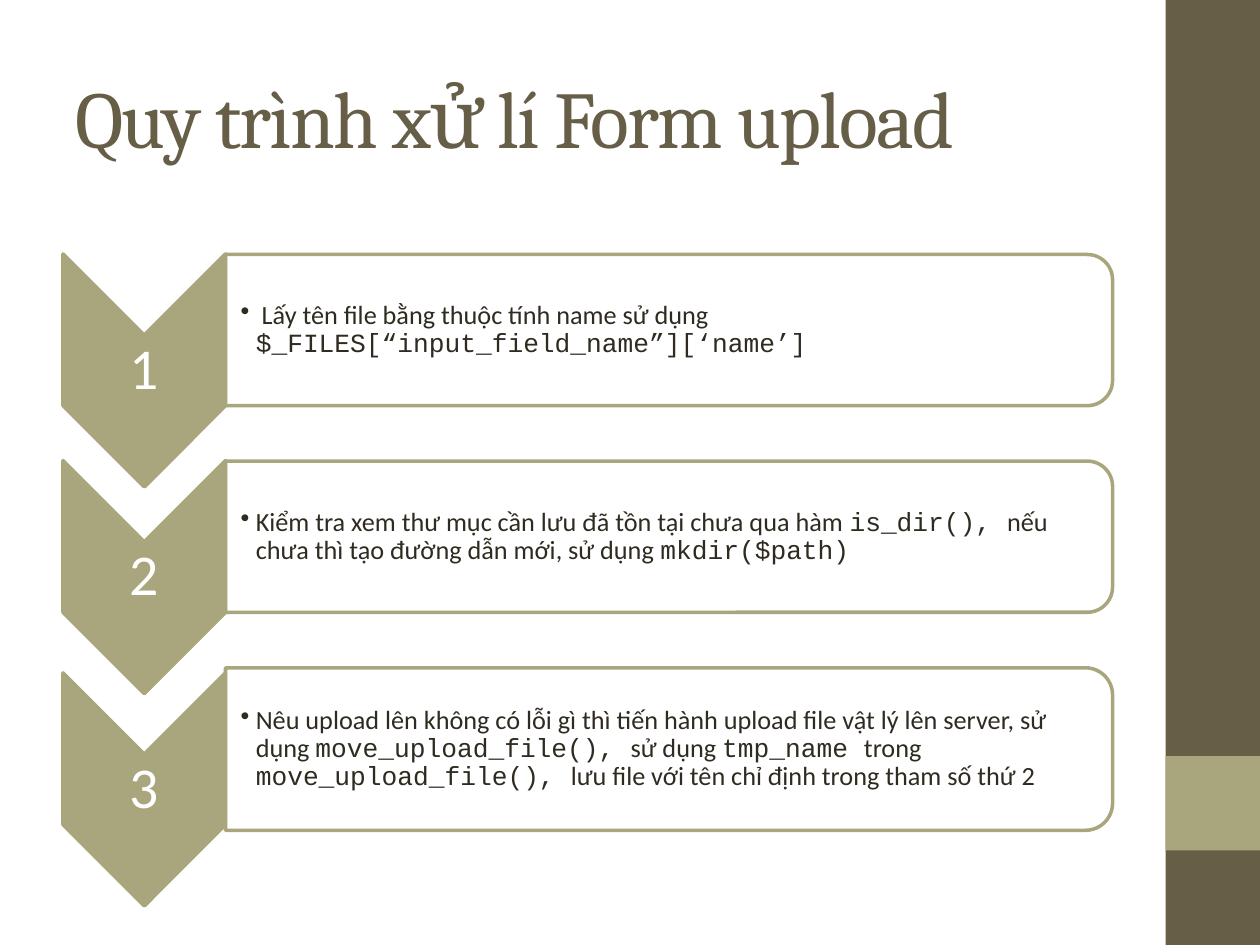
from dataclasses import dataclass

from lxml.etree import SubElement
from pptx import Presentation
from pptx.dml.color import RGBColor
from pptx.enum.shapes import MSO_SHAPE
from pptx.enum.text import MSO_ANCHOR, PP_ALIGN
from pptx.oxml.ns import qn
from pptx.util import Inches, Pt

BROWN = RGBColor(0x67, 0x5E, 0x47)
OLIVE = RGBColor(0xA9, 0xA5, 0x7C)
INK = RGBColor(0x2F, 0x2B, 0x20)
WHITE = RGBColor(0xFF, 0xFF, 0xFF)
HEADING, BODY, CODE = "Cambria", "Calibri", "Courier New"

CHEVRON_LEFT, CHEVRON_WIDTH, CHEVRON_HEIGHT = 0.5, 1.29, 1.85
CHEVRON_DROP = 0.32
BOX_LEFT, BOX_WIDTH = 1.79, 7.04


@dataclass(frozen=True)
class Step:
    number: str
    top: float
    height: float
    runs: tuple[tuple[str, str], ...]


STEPS = (
    Step("1", 2.02, 1.2, (
        (" Lấy tên file bằng thuộc tính name sử dụng ", BODY),
        ("$_FILES[“input_field_name”][‘name’]", CODE),
    )),
    Step("2", 3.66, 1.2, (
        ("Kiểm tra xem thư mục cần lưu đã tồn tại chưa qua hàm ", BODY),
        ("is_dir(), ", CODE),
        ("nếu chưa thì tạo đường dẫn mới, sử dụng ", BODY),
        ("mkdir($path)", CODE),
    )),
    Step("3", 5.3, 1.29, (
        ("Nêu upload lên không có lỗi gì thì tiến hành upload file vật lý "
         "lên server, sử dụng ", BODY),
        ("move_upload_file(), ", CODE),
        ("sử dụng ", BODY),
        ("tmp_name ", CODE),
        ("trong ", BODY),
        ("move_upload_file(), ", CODE),
        ("lưu file với tên chỉ định trong tham số thứ 2", BODY),
    )),
)


def add_shape(s, kind: MSO_SHAPE, left: float, top: float, width: float,
              height: float, fill: RGBColor, line: RGBColor | None = None):
    sp = s.shapes.add_shape(kind, Inches(left), Inches(top),
                            Inches(width), Inches(height))
    sp.shadow.inherit = False
    sp.fill.solid()
    sp.fill.fore_color.rgb = fill
    if line is None:
        sp.line.fill.background()
    else:
        sp.line.color.rgb = line
        sp.line.width = Pt(2)
    return sp


def add_turned(s, kind: MSO_SHAPE, center_x: float, center_y: float,
               width: float, height: float, fill: RGBColor):
    sp = add_shape(s, kind, center_x - height / 2, center_y - width / 2,
                   height, width, fill, OLIVE)
    sp.rotation = 90
    return sp


def add_text(s, left: float, top: float, width: float, height: float,
             insets: tuple[float, float, float, float]):
    tf = s.shapes.add_textbox(Inches(left), Inches(top),
                              Inches(width), Inches(height)).text_frame
    tf.word_wrap = True
    tf.vertical_anchor = MSO_ANCHOR.MIDDLE
    (tf.margin_left, tf.margin_top,
     tf.margin_right, tf.margin_bottom) = map(Inches, insets)
    return tf.paragraphs[0]


def add_run(p, text: str, font: str, size: float, color: RGBColor):
    r = p.add_run()
    r.text = text
    r.font.name = font
    r.font.size = Pt(size)
    r.font.color.rgb = color
    return r


def set_bullet(p, indent: float) -> None:
    pPr = p._p.get_or_add_pPr()
    pPr.set("marL", str(Inches(indent)))
    pPr.set("indent", str(-Inches(indent)))
    SubElement(pPr, qn("a:buChar"), char="•")


def set_opacity(sp, percent: int) -> None:
    color = sp.fill._xPr.find(qn("a:solidFill"))[0]
    SubElement(color, qn("a:alpha"), val=str(percent * 1000))


def draw_title(s, text: str) -> None:
    p = add_text(s, 0.5, 0.3, 8.33, 1.25, (0.1, 0.05, 0.1, 0.05))
    r = add_run(p, text, HEADING, 46, BROWN)
    r.font._element.set("spc", "-100")


def draw_step(s, step: Step) -> None:
    box_y = step.top + step.height / 2
    chevron_x = CHEVRON_LEFT + CHEVRON_WIDTH / 2
    chevron_y = box_y + CHEVRON_DROP

    add_turned(s, MSO_SHAPE.CHEVRON, chevron_x, chevron_y,
               CHEVRON_WIDTH, CHEVRON_HEIGHT, OLIVE)
    p = add_text(s, CHEVRON_LEFT, chevron_y - 0.28, CHEVRON_WIDTH, 0.56,
                 (0.02, 0.02, 0.02, 0.02))
    p.alignment = PP_ALIGN.CENTER
    p.line_spacing = 0.9
    add_run(p, step.number, BODY, 33, WHITE)

    box = add_turned(s, MSO_SHAPE.ROUND_2_SAME_RECTANGLE,
                     BOX_LEFT + BOX_WIDTH / 2, box_y,
                     BOX_WIDTH, step.height, WHITE)
    set_opacity(box, 90)
    p = add_text(s, BOX_LEFT, step.top + 0.06, BOX_WIDTH - 0.06,
                 step.height - 0.12, (0.12, 0.01, 0.01, 0.01))
    p.line_spacing = 0.9
    set_bullet(p, 0.12)
    for text, font in step.runs:
        add_run(p, text, font, 15, INK)


def main() -> None:
    prs = Presentation()
    prs.slide_width, prs.slide_height = Inches(10), Inches(7.5)
    s = prs.slides.add_slide(prs.slide_layouts[6])
    add_shape(s, MSO_SHAPE.RECTANGLE, 9.25, 0, 0.75, 7.5, BROWN)
    add_shape(s, MSO_SHAPE.RECTANGLE, 9.25, 6, 0.75, 0.75, OLIVE)
    draw_title(s, "Quy trình xử lí Form upload")
    for step in STEPS:
        draw_step(s, step)
    prs.save("out.pptx")


if __name__ == "__main__":
    main()
